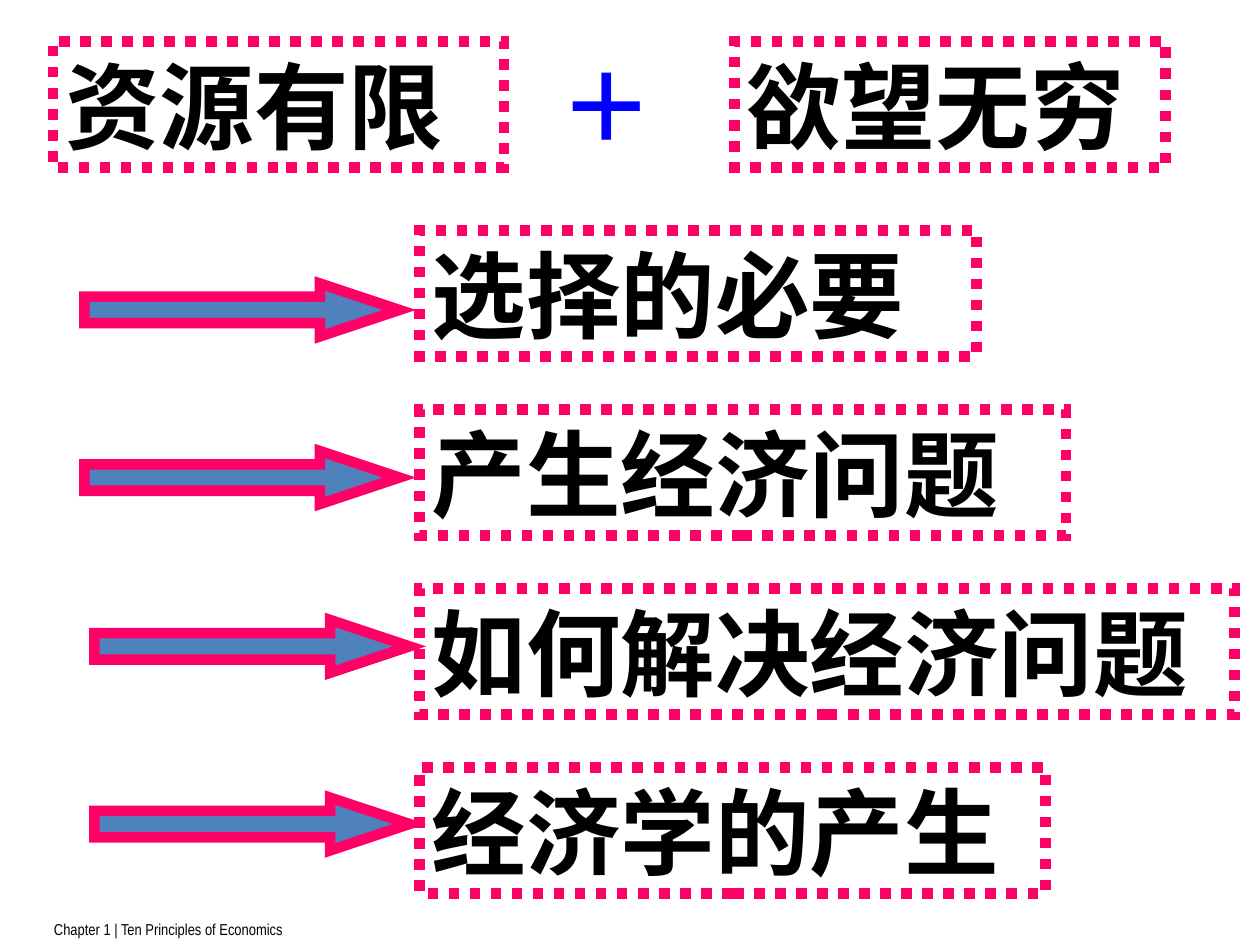
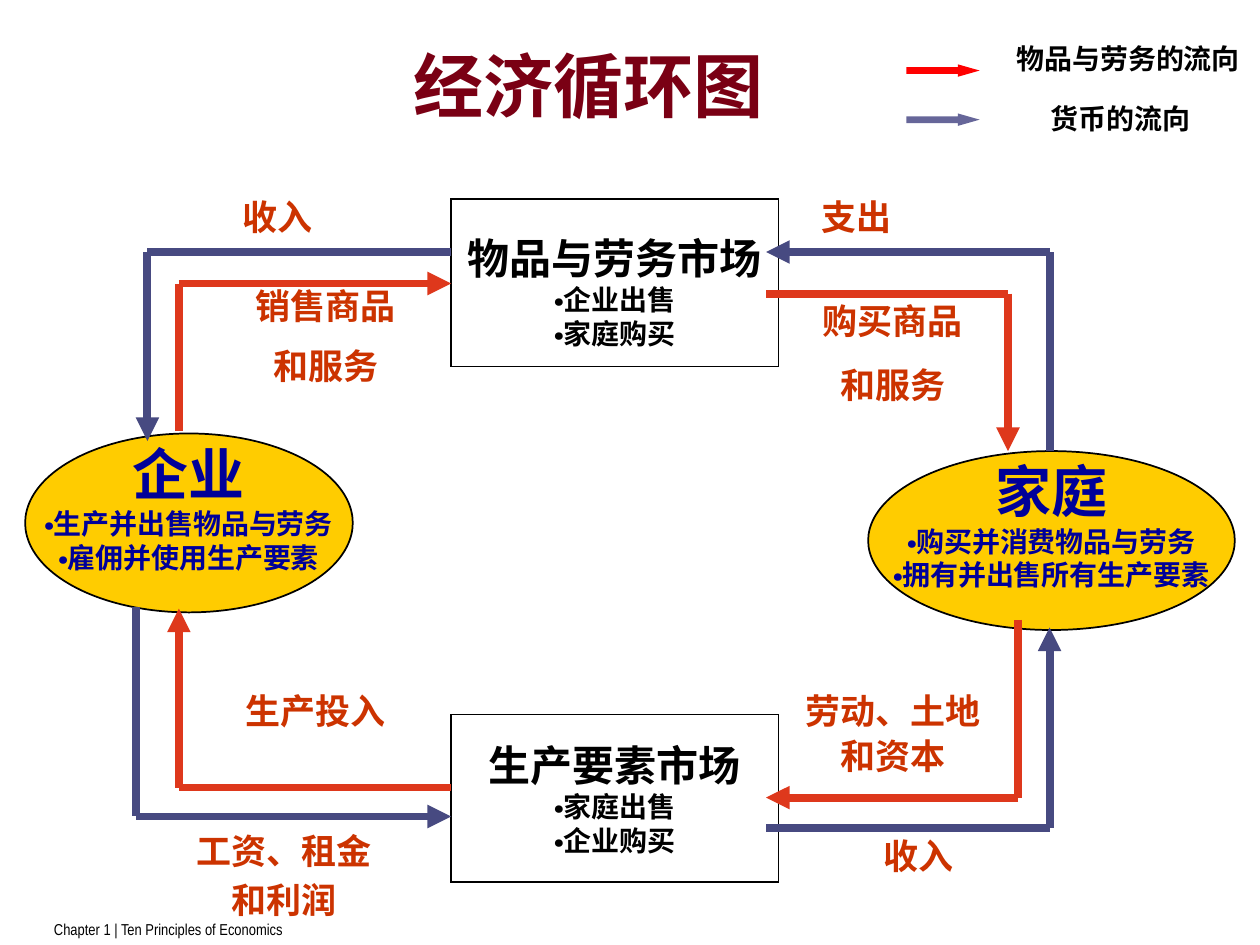
"""Build two economics slides: from scarcity to economics, and the circular flow."""
import itertools
from dataclasses import dataclass

import lxml.etree
import pptx
import pptx.dml.color
import pptx.enum.dml
import pptx.enum.lang
import pptx.enum.shapes
import pptx.enum.text
import pptx.oxml.ns
import pptx.util

Inches = pptx.util.Inches
Pt = pptx.util.Pt
SHAPE = pptx.enum.shapes.MSO_SHAPE
ALIGN = pptx.enum.text.PP_ALIGN
ANCHOR = pptx.enum.text.MSO_ANCHOR


@dataclass(frozen=True)
class Theme:
    black: str = "000000"
    white: str = "FFFFFF"
    pink: str = "FF0066"
    steel: str = "4F81BD"
    plus: str = "0000FF"
    title: str = "7A0014"
    gold: str = "FFCC00"
    navy: str = "000099"
    label: str = "CC3300"
    goods: str = "DE381C"
    money: str = "474A81"
    goods_key: str = "FF0000"
    money_key: str = "666699"
    serif: str = "Times New Roman"
    sans: str = "Noto Sans CJK SC"
    label_font: str = "Karla"
    title_font: str = "Calibri"
    footer_font: str = "Arial Narrow"
    huge: int = 54
    title_size: int = 40
    actor_size: int = 32
    market_size: int = 24
    label_size: int = 20
    small: int = 16
    footer_size: int = 9
    thick: float = 6
    flow: float = 4.5
    thin: float = 1


T = Theme()

FOOTER = "Chapter 1 | Ten Principles of Economics"

PREMISES = [("资源有限", 0.42, 3.58), ("欲望无穷", 5.83, 3.42)]
STEPS = [
    ("选择的必要", 4.42, 0.67, 2.25),
    ("产生经济问题", 5.13, 0.67, 3.58),
    ("如何解决经济问题", 6.47, 0.75, 4.92),
    ("经济学的产生", 4.97, 0.75, 6.33),
]
STEP_TOP, STEP_PITCH = 1.83, 1.42

CYCLE_TITLE = "经济循环图"
ACTORS = [
    ("企业", ["生产并出售物品与劳务", "雇佣并使用生产要素"], (0.2, 3.44, 2.6, 1.42)),
    ("家庭", ["购买并消费物品与劳务", "拥有并出售所有生产要素"], (6.89, 3.58, 2.91, 1.42)),
]
MARKETS = [
    ("物品与劳务市场", ["企业出售", "家庭购买"], (3.58, 1.58, 2.6, 1.33), 0.18),
    ("生产要素市场", ["家庭出售", "企业购买"], (3.58, 5.67, 2.6, 1.33), 0.05),
]
FLOWS = [
    (T.money, [(8.33, 3.58), (8.33, 2), (6.08, 2)]),
    (T.money, [(3.58, 2), (1.17, 2), (1.17, 3.5)]),
    (T.money, [(1.08, 4.82), (1.08, 6.48), (3.58, 6.48)]),
    (T.money, [(6.08, 6.57), (8.33, 6.57), (8.33, 4.98)]),
    (T.goods, [(6.08, 2.33), (8, 2.33), (8, 3.58)]),
    (T.goods, [(1.42, 3.42), (1.42, 2.25), (3.58, 2.25)]),
    (T.goods, [(3.58, 6.25), (1.42, 6.25), (1.42, 4.83)]),
    (T.goods, [(8.08, 4.92), (8.08, 6.33), (6.08, 6.33)]),
]
LABELS = [
    ([("支出", 1)], (6.42, 1.5, 1.92, 0.44), ALIGN.LEFT),
    ([("收入", 1)], (1.83, 1.5, 1.92, 0.44), ALIGN.LEFT),
    ([("工资、租金", 0.9), ("和利润", 0.6)], (1.17, 6.57, 2.17, 0.78), ALIGN.CENTER),
    ([("收入", 1)], (6.33, 6.57, 1.92, 0.44), ALIGN.CENTER),
    ([("销售商品", 0.9), ("和服务", 0.9)], (1.5, 2.25, 2.17, 0.88), ALIGN.CENTER),
    ([("购买商品", 1), ("和服务", 1)], (6, 2.33, 2.17, 0.94), ALIGN.CENTER),
    ([("劳动、土地", 1), ("和资本", 0.5)], (6, 5.42, 2.17, 0.78), ALIGN.CENTER),
    ([("生产投入", 1)], (1.42, 5.42, 2.17, 0.44), ALIGN.CENTER),
]
LEGEND = [
    ("物品与劳务的流向", T.goods_key, 0.52, (7.91, 0.28, 2.09, 0.37)),
    ("货币的流向", T.money_key, 0.91, (8.07, 0.76, 1.65, 0.37)),
]


def rgb(value):
    return pptx.dml.color.RGBColor.from_string(value)


def sub(parent, tag, **attrs):
    return lxml.etree.SubElement(parent, pptx.oxml.ns.qn(tag), **attrs)


def add_text(p, text, size, color, font, bold=True):
    r = p.add_run()
    r.text = text
    r.font.size = Pt(size)
    r.font.bold = bold
    r.font.name = font
    r.font.color.rgb = rgb(color)
    if not text.isascii():
        r.font.language_id = pptx.enum.lang.MSO_LANGUAGE_ID.SIMPLIFIED_CHINESE
        sub(r.font._element, "a:ea", typeface=T.label_font)


def set_frame(sp, anchor=ANCHOR.TOP, wrap=True, top=0.05, bottom=0.05):
    tf = sp.text_frame
    tf.word_wrap = wrap
    tf.vertical_anchor = anchor
    tf.margin_left = tf.margin_right = Inches(0.1)
    tf.margin_top, tf.margin_bottom = Inches(top), Inches(bottom)
    return tf


def add_box(s, at, lines, size, color, font, align=ALIGN.LEFT,
            anchor=ANCHOR.TOP, wrap=True, bold=True, gap=0):
    tf = set_frame(s.shapes.add_textbox(*map(Inches, at)), anchor, wrap)
    for i, (text, spacing) in enumerate(lines):
        p = tf.add_paragraph() if i else tf.paragraphs[0]
        p.alignment = align
        if i:
            p.space_before = Pt(gap)
        if spacing != 1:
            p.line_spacing = spacing
        add_text(p, text, size, color, font, bold)


def add_shape(s, kind, at, line, width, fill=None, dash=None):
    sp = s.shapes.add_shape(kind, *map(Inches, at))
    sp.shadow.inherit = False
    if fill:
        sp.fill.solid()
        sp.fill.fore_color.rgb = rgb(fill)
    else:
        sp.fill.background()
    sp.line.color.rgb = rgb(line)
    sp.line.width = Pt(width)
    if dash:
        sp.line.dash_style = dash
    sub(sp.line._get_or_add_ln(), "a:miter", lim="800000")
    return sp


def add_arrow(s, at, ratio, line, width, fill):
    sp = add_shape(s, SHAPE.RIGHT_ARROW, at, line, width, fill)
    sp.adjustments[0] = 0.5
    sp.adjustments[1] = ratio


def add_frame(s, text, at):
    sp = add_shape(s, SHAPE.RECTANGLE, at, T.pink, T.thick,
                   dash=pptx.enum.dml.MSO_LINE.ROUND_DOT)
    p = set_frame(sp).paragraphs[0]
    p.alignment = ALIGN.LEFT
    add_text(p, text, T.huge, T.black, T.serif)


def add_node(s, kind, at, fill, name, roles, size, color, top, bottom):
    sp = add_shape(s, kind, at, T.black, T.thin, fill)
    tf = set_frame(sp, ANCHOR.MIDDLE, False, top, bottom)
    p = tf.paragraphs[0]
    p.alignment = ALIGN.CENTER
    add_text(p, name, size, color, T.serif)
    for role in roles:
        p = tf.add_paragraph()
        p.alignment = ALIGN.CENTER
        add_text(p, "•" + role, T.small, color, T.sans)


def add_flow(s, color, points):
    for start, end in itertools.pairwise(points):
        c = s.shapes.add_connector(pptx.enum.shapes.MSO_CONNECTOR.STRAIGHT,
                                   *map(Inches, start + end))
        c.line.color.rgb = rgb(color)
        c.line.width = Pt(T.flow)
        if end == points[-1]:
            sub(c.line._get_or_add_ln(), "a:tailEnd", type="triangle")
        sub(c._element.spPr, "a:effectLst")


def new_slide(prs):
    s = prs.slides.add_slide(prs.slide_layouts[6])
    add_box(s, (0.33, 7.25, 7.58, 0.25), [(FOOTER, 1)], T.footer_size,
            T.black, T.footer_font, bold=False)
    return s


def build_scarcity(prs):
    s = new_slide(prs)
    for text, left, width in PREMISES:
        add_frame(s, text, (left, 0.33, width, 1))
    add_box(s, (4.34, 0.33, 0.95, 1), [("＋", 1)], T.huge, T.plus, T.serif, wrap=False)
    for i, (text, width, _, _) in enumerate(STEPS):
        add_frame(s, text, (3.33, STEP_TOP + i * STEP_PITCH, width, 1))
    for _, _, left, top in STEPS:
        add_arrow(s, (left, top, 2.5, 0.42), 1.5, T.pink, T.thick, T.steel)


def build_cycle(prs):
    s = new_slide(prs)
    add_box(s, (0.42, 0.17, 8.5, 1), [(CYCLE_TITLE, 1)], T.title_size, T.title,
            T.title_font, ALIGN.CENTER, ANCHOR.MIDDLE)
    for name, roles, at in ACTORS:
        add_node(s, SHAPE.OVAL, at, T.gold, name, roles, T.actor_size, T.navy, 0.05, 0.31)
    for name, roles, at, top in MARKETS:
        add_node(s, SHAPE.RECTANGLE, at, T.white, name, roles, T.market_size,
                 T.black, top, 0.05)
    for lines, at, align in LABELS:
        add_box(s, at, lines, T.label_size, T.label, T.label_font, align, gap=12.5)
    for color, points in FLOWS:
        add_flow(s, color, points)
    for text, color, top, at in LEGEND:
        add_arrow(s, (7.2, top, 0.55, 0.08), 1.75, color, T.thin, color)
        add_box(s, at, [(text, 1)], T.small, T.black, T.sans, ALIGN.CENTER)


def main():
    prs = pptx.Presentation()
    prs.slide_width, prs.slide_height = Inches(10), Inches(7.5)
    build_scarcity(prs)
    build_cycle(prs)
    prs.save("out.pptx")


if __name__ == "__main__":
    main()
